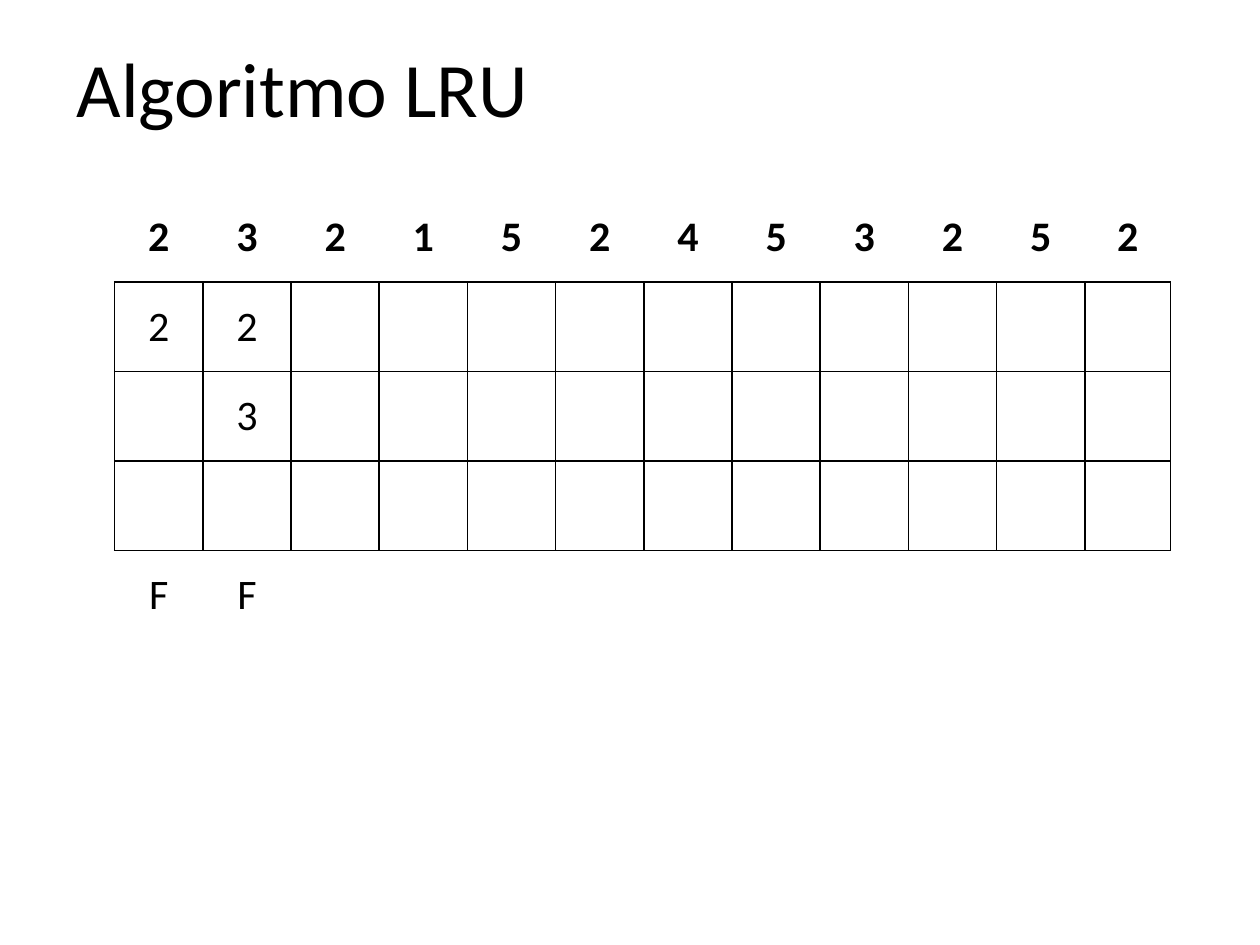
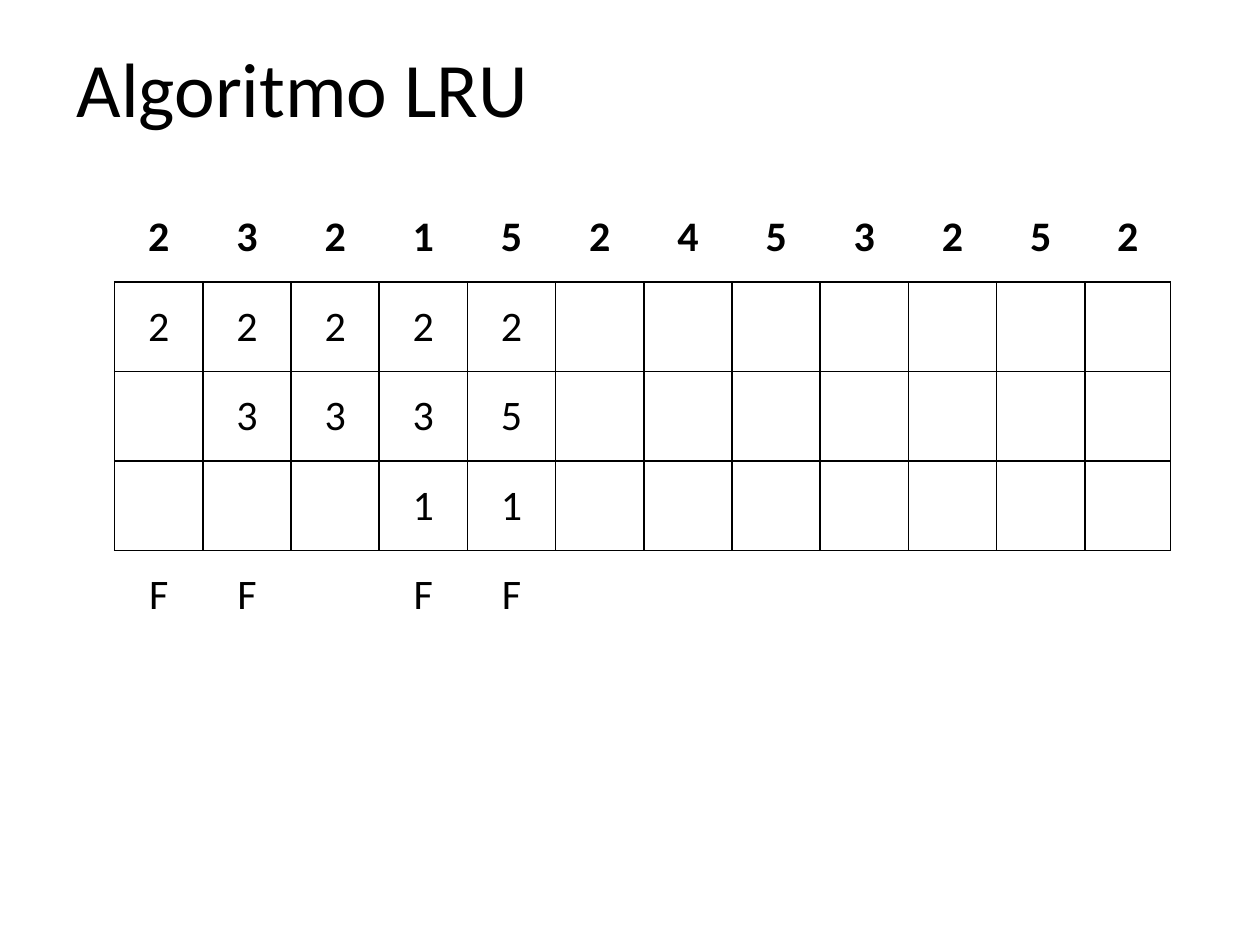
"""Build two slides that step through the LRU page replacement algorithm."""
import pptx
import pptx.dml.color
import pptx.enum.text
import pptx.oxml
import pptx.oxml.ns
import pptx.util
from pptx.util import Inches

BLACK = "000000"
WHITE = "FFFFFF"
TITLE = {"size": pptx.util.Pt(44), "name": "Calibri", "bold": False}
REQUEST = {"size": pptx.util.Pt(24), "name": "Calibri", "bold": True}
FRAME = {**REQUEST, "bold": False}
MIDDLE = pptx.enum.text.MSO_ANCHOR.MIDDLE
CENTER = pptx.enum.text.PP_ALIGN.CENTER

REQUESTS = "232152453252"
COLUMN_WIDTHS = [0.7] * 11 + [0.68]
ROW_HEIGHT = 0.71
STEPS = [
    {"frames": ["22", " 3", ""], "faults": "FF"},
    {"frames": ["22222", " 3335", "   11"], "faults": "FF FF"},
]


def rgb(hex_string):
    """Return the colour for a hex string."""
    return pptx.dml.color.RGBColor.from_string(hex_string)


def add_run(p, text, formats):
    """Add a black run with the given font formats."""
    r = p.add_run()
    r.text = text
    for name, value in formats.items():
        setattr(r.font, name, value)
    r.font.color.rgb = rgb(BLACK)


def add_title(s, text):
    """Add the slide title."""
    sp = s.shapes.add_textbox(Inches(0.51), Inches(0.29), Inches(4.96), Inches(0.79))
    tf = sp.text_frame
    tf.word_wrap = True
    tf.vertical_anchor = MIDDLE
    add_run(tf.paragraphs[0], text, TITLE)


def set_borders(cell, drawn):
    """Draw 1 pt lines on the drawn sides of a cell and clear the others."""
    tc_pr = cell._tc.get_or_add_tcPr()
    line_fill = f'<a:solidFill><a:srgbClr val="{BLACK}"/></a:solidFill>'
    for side in "LRTB":
        fill = line_fill if side in drawn else "<a:noFill/>"
        tc_pr.append(pptx.oxml.parse_xml(
            f'<a:ln{side} {pptx.oxml.ns.nsdecls("a")} w="{pptx.util.Pt(1)}">'
            f"{fill}</a:ln{side}>"))


def fill_cell(cell, text, formats, borders):
    """Style one cell and write its centred text."""
    set_borders(cell, borders)
    cell.fill.background()
    cell.vertical_anchor = MIDDLE
    p = cell.text_frame.paragraphs[0]
    p.alignment = CENTER
    if text.strip():
        add_run(p, text, formats)


def add_memory_table(s, frames, faults):
    """Add the page requests, the memory frames and the page faults."""
    rows = [(REQUESTS, REQUEST, "B")]
    rows += [(frame, FRAME, "LRTB") for frame in frames]
    rows.append((faults, FRAME, "T"))
    columns = len(COLUMN_WIDTHS)
    table = s.shapes.add_table(
        len(rows), columns, Inches(0.91), Inches(1.53),
        Inches(sum(COLUMN_WIDTHS)), Inches(ROW_HEIGHT * len(rows))).table
    table.first_row = False
    table.horz_banding = False
    for column, width in zip(table.columns, COLUMN_WIDTHS):
        column.width = Inches(width)
    for row, (pages, formats, borders) in zip(table.rows, rows):
        row.height = Inches(ROW_HEIGHT)
        for cell, text in zip(row.cells, pages.ljust(columns)):
            fill_cell(cell, text, formats, borders)


def main():
    """Build and save the presentation."""
    prs = pptx.Presentation()
    prs.slide_width, prs.slide_height = Inches(10), Inches(7.5)
    for step in STEPS:
        s = prs.slides.add_slide(prs.slide_layouts[6])
        s.background.fill.solid()
        s.background.fill.fore_color.rgb = rgb(WHITE)
        add_title(s, "Algoritmo LRU")
        add_memory_table(s, **step)
    prs.save("out.pptx")


if __name__ == "__main__":
    main()
